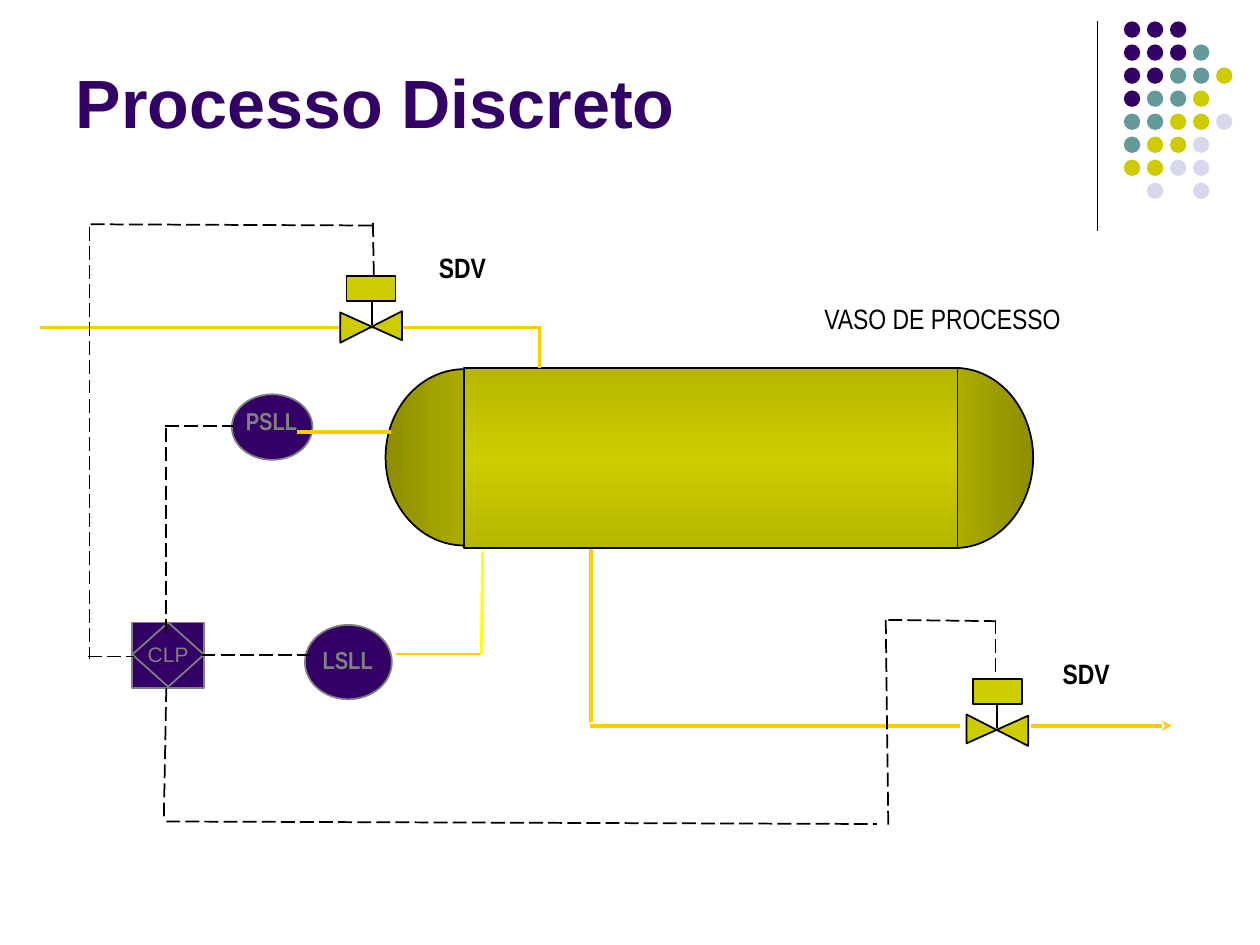
import copy
import pptx
import pptx.dml.color
import pptx.enum.dml
import pptx.enum.shapes
import pptx.enum.text
import pptx.oxml.ns
import pptx.util

Inches, Pt = pptx.util.Inches, pptx.util.Pt
Kind = pptx.enum.shapes.MSO_SHAPE
Align = pptx.enum.text.PP_ALIGN
Anchor = pptx.enum.text.MSO_ANCHOR
AutoSize = pptx.enum.text.MSO_AUTO_SIZE
qn = pptx.oxml.ns.qn

PURPLE, TEAL, OLIVE, PALE = "330066", "669999", "CCCC00", "D8D8EC"
BLACK, GRAY, PIPE = "000000", "808080", "FFCC00"


def color(code):
    return pptx.dml.color.RGBColor.from_string(code)


def paint(shape, fill, outline=None):
    shape.shadow.inherit = False
    shape.fill.solid()
    shape.fill.fore_color.rgb = color(fill)
    if outline:
        shape.line.color.rgb = color(outline)
        shape.line.width = Pt(1)
    else:
        shape.line.fill.background()


deck = pptx.Presentation()
deck.slide_width, deck.slide_height = Inches(10), Inches(7.5)
page = deck.slides.add_slide(deck.slide_layouts[5])
shapes = page.shapes

# Title
title = shapes.title
title.left, title.top = Inches(0.5), Inches(0.13)
title.width, title.height = Inches(8.25), Inches(1.05)
title.text_frame.text = "Processo Discreto"
title.text_frame.auto_size = AutoSize.NONE
title.text_frame.vertical_anchor = Anchor.BOTTOM
para = title.text_frame.paragraphs[0]
para.alignment = Align.LEFT
para.font.name, para.font.size, para.font.bold = "Arial", Pt(39), True
para.font.color.rgb = color(PURPLE)

# Corner dots: one letter per dot, on an even grid
dot_colors = {"P": PURPLE, "T": TEAL, "O": OLIVE, "L": PALE}
dot_rows = ["PPP", "PPPT", "PPTTO", "PTTO", "TTOOL", "TOOL", "OOLL", " L L"]
pitch = 1.28 / 7
for row, letters in enumerate(dot_rows):
    for column, letter in enumerate(letters):
        if letter in dot_colors:
            dot = shapes.add_shape(
                Kind.OVAL, Inches(8.92 + column * pitch), Inches(0.17 + row * pitch),
                Inches(0.13), Inches(0.13))
            paint(dot, dot_colors[letter])

# Process vessel: two end caps behind a cylinder body
vessel_parts = [
    (Kind.OVAL, 6.96, 2.92, 1.24, 1.43, 0, [OLIVE, "8E8E00"]),
    (Kind.OVAL, 3.06, 2.93, 1.25, 1.4, 0, ["8E8E00", OLIVE]),
    (Kind.RECTANGLE, 3.68, 2.92, 3.92, 1.43, 90, ["B7B700", OLIVE, "B7B700"]),
]
for kind, left, top, width, height, angle, stop_colors in vessel_parts:
    part = shapes.add_shape(kind, Inches(left), Inches(top), Inches(width), Inches(height))
    paint(part, OLIVE, BLACK)
    part.fill.gradient()
    part.fill.gradient_angle = angle
    stop_list = part._element.spPr.find(".//" + qn("a:gsLst"))
    while len(stop_list) < len(stop_colors):
        stop_list.append(copy.deepcopy(stop_list[-1]))
    for index, stop in enumerate(part.fill.gradient_stops):
        stop.color.rgb = color(stop_colors[index])
        stop.position = index / (len(stop_colors) - 1)

# Instruments and controller
instruments = [
    (Kind.OVAL, 2.42, 4.96, 0.69, 0.59),
    (Kind.OVAL, 1.84, 3.13, 0.64, 0.52),
    (Kind.RECTANGLE, 1.05, 4.94, 0.57, 0.52),
    (Kind.DIAMOND, 1.05, 4.94, 0.57, 0.51),
]
for kind, left, top, width, height in instruments:
    instrument = shapes.add_shape(kind, Inches(left), Inches(top), Inches(width), Inches(height))
    paint(instrument, PURPLE, GRAY)
controller = instrument
controller.text_frame.text = "CLP"
controller.text_frame.word_wrap = False
controller.text_frame.vertical_anchor = Anchor.MIDDLE
para = controller.text_frame.paragraphs[0]
para.alignment = Align.CENTER
para.font.name, para.font.size = "Arial", Pt(12)
para.font.color.rgb = color(GRAY)

# Lines, grouped by colour, width and dash
line_groups = [
    (BLACK, 0.75, False, [(8.71, 0.17, 8.71, 1.83)]),
    # Pipes
    (PIPE, 1, False, [(3.14, 5.19, 3.82, 5.19)]),
    ("FFFF00", 1.5, False, [(3.82, 5.19, 3.83, 4.38)]),
    (PIPE, 2, False, [
        (4.29, 2.6, 0.32, 2.6), (4.28, 2.59, 4.28, 2.92), (2.36, 3.43, 3.1, 3.43),
        (4.69, 4.36, 4.69, 5.73), (4.68, 5.76, 7.62, 5.76), (8.18, 5.76, 9.3, 5.76)]),
    # Valve stems
    (BLACK, 1, False, [(2.95, 2.58, 2.95, 2.4), (7.91, 5.78, 7.91, 5.59)]),
    # Control signals
    (BLACK, 1, True, [
        (0.72, 1.78, 2.98, 1.79), (2.96, 1.77, 2.97, 2.36), (0.71, 1.8, 0.71, 5.23),
        (0.7, 5.21, 1.06, 5.21), (1.31, 3.38, 1.85, 3.38), (1.32, 3.4, 1.32, 5.05),
        (1.6, 5.2, 2.46, 5.2), (1.32, 5.46, 1.3, 6.51), (1.32, 6.52, 6.96, 6.54),
        (7.03, 4.92, 7.05, 6.57), (7.05, 4.92, 7.9, 4.93), (7.9, 4.92, 7.9, 5.35)]),
]
for line_color, width, dashed, segments in line_groups:
    for segment in segments:
        line = shapes.add_connector(
            pptx.enum.shapes.MSO_CONNECTOR.STRAIGHT, *[Inches(value) for value in segment])
        line.line.color.rgb = color(line_color)
        line.line.width = Pt(width)
        if dashed:
            line.line.dash_style = pptx.enum.dml.MSO_LINE.LONG_DASH
        if segment == (8.18, 5.76, 9.3, 5.76):
            arrow = line.line._get_or_add_ln().makeelement(qn("a:tailEnd"), {"type": "stealth"})
            line.line._get_or_add_ln().append(arrow)
        properties = line._element.spPr
        properties.append(properties.makeelement(qn("a:effectLst"), {}))

# Shutdown valves: actuator box above a bow-tie body
valves = [
    (2.75, 2.19, [(3.19, 2.47), (3.19, 2.7), (2.7, 2.48), (2.7, 2.72)]),
    (7.72, 5.39, [(7.67, 5.67), (7.67, 5.9), (8.16, 5.68), (8.16, 5.92)]),
]
for left, top, corners in valves:
    actuator = shapes.add_shape(
        Kind.RECTANGLE, Inches(left), Inches(top), Inches(0.39), Inches(0.2))
    paint(actuator, OLIVE, BLACK)
    points = [(Inches(x), Inches(y)) for x, y in corners]
    builder = shapes.build_freeform(*points[0])
    builder.add_line_segments(points[1:], close=True)
    paint(builder.convert_to_shape(), OLIVE, BLACK)

# Labels
labels = [
    ("LSLL", 2.46, 5.07, 0.6, 0.33, 14, True, GRAY),
    ("PSLL", 1.85, 3.17, 0.61, 0.33, 14, True, GRAY),
    ("SDV", 3.37, 1.93, 0.6, 0.38, 16, True, BLACK),
    ("SDV", 8.32, 5.15, 0.6, 0.38, 16, True, BLACK),
    ("VASO DE PROCESSO", 6.42, 2.33, 2.12, 0.38, 16, False, BLACK),
]
for text, left, top, width, height, size, bold, text_color in labels:
    box = shapes.add_textbox(Inches(left), Inches(top), Inches(width), Inches(height))
    frame = box.text_frame
    frame.text = text
    frame.word_wrap = False
    frame.auto_size = AutoSize.SHAPE_TO_FIT_TEXT
    if size == 16:
        frame.margin_left = frame.margin_right = Inches(0.11)
        frame.margin_top = frame.margin_bottom = Inches(0.06)
    para = frame.paragraphs[0]
    para.alignment = Align.CENTER
    para.font.name, para.font.size, para.font.bold = "Arial Narrow", Pt(size), bold
    para.font.color.rgb = color(text_color)

deck.save("out.pptx")
